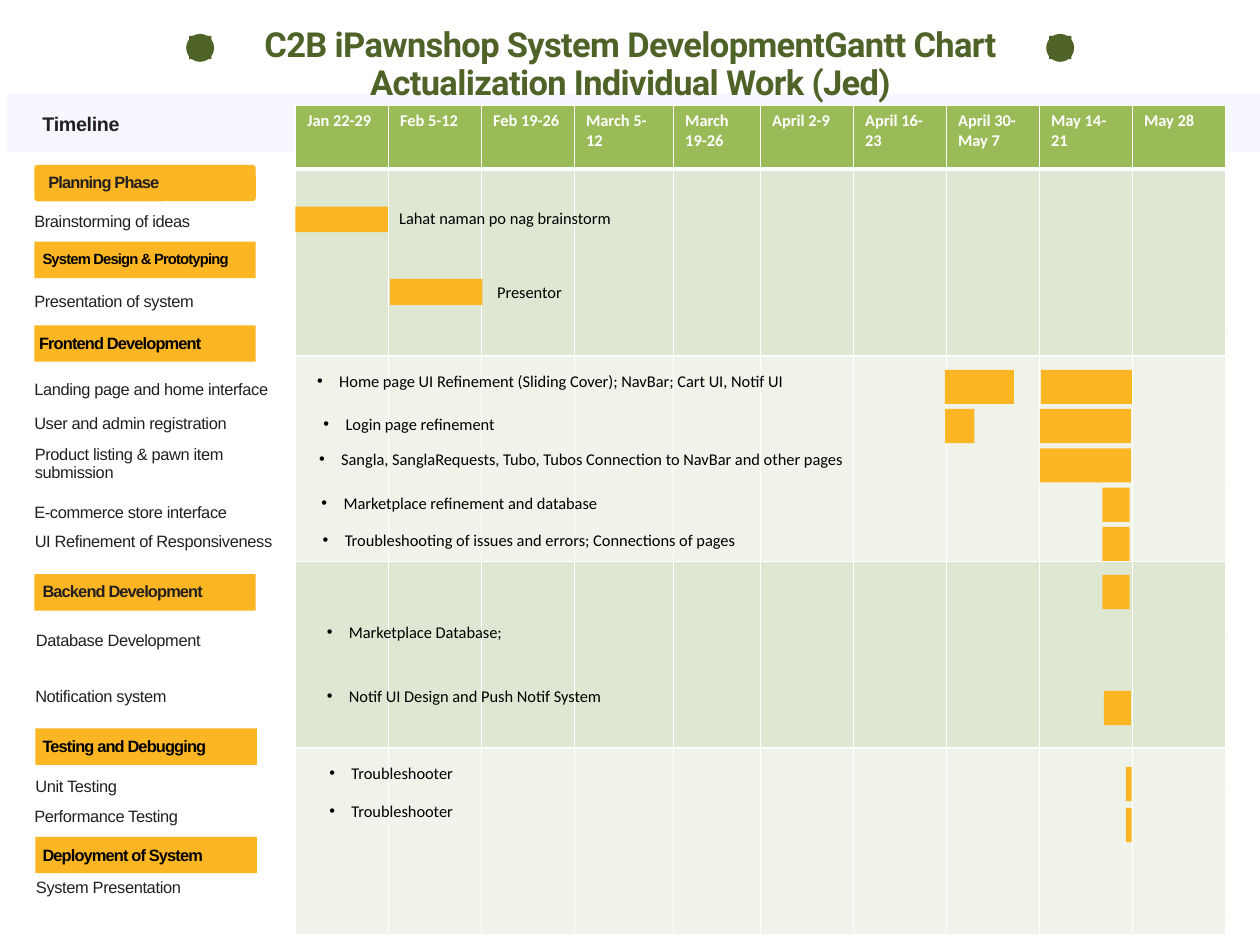
from dataclasses import dataclass
from typing import NamedTuple

from lxml.etree import SubElement
from pptx import Presentation
from pptx.dml.color import RGBColor
from pptx.enum.shapes import MSO_CONNECTOR, MSO_SHAPE
from pptx.enum.text import PP_ALIGN
from pptx.oxml.ns import qn
from pptx.util import Pt


@dataclass(frozen=True)
class Theme:
    band: str = "F7F7FF"
    amber: str = "FCB624"
    olive: str = "4F6228"
    head: str = "9BBB59"
    rows: tuple = ("DEE7D1", "EFF3EA")
    rule: str = "D5D5D5"
    ink: str = "231F20"
    black: str = "000000"
    white: str = "FFFFFF"
    title: float = 21
    lead: float = 12
    body: float = 10
    small: float = 9


T = Theme()


class Style(NamedTuple):
    font: str
    size: float
    color: str
    bold: bool = False
    track: float = 0


class Box(NamedTuple):
    left: float
    top: float
    width: float
    height: float


class Phase(NamedTuple):
    name: str
    left: float
    top: float
    text_left: float
    text_top: float
    color: str = T.black
    size: float = T.body


class Task(NamedTuple):
    name: str
    left: float
    top: float


class Note(NamedTuple):
    text: str
    left: float
    top: float
    dot: bool = True


class Bar(NamedTuple):
    left: float
    top: float
    width: float
    height: float = 20.8


HEADS = ["Jan 22-29", "Feb 5-12", "Feb 19-26", "March 5-12", "March 19-26",
         "April 2-9", "April 16-23", "April 30-May 7", "May 14-21", "May 28"]
COLS = [56.7] * 3 + [60.4, 53] + [56.7] * 5
ROWS = [38.9, 113.8, 125.3, 113.8, 113.8]
RULES = [204.5, 296.6, 388.8, 481.7, 558.7]

PHASES = [
    Phase("Planning Phase", 20.9, 100.5, 29.5, 105.8, T.ink),
    Phase("System Design & Prototyping", 20.9, 147.3, 25.9, 151.9, size=T.small),
    Phase("Frontend Development", 20.9, 198.3, 23.8, 203.8),
    Phase("Backend Development", 20.9, 350, 25.9, 355, T.ink),
    Phase("Testing and Debugging", 21.6, 444, 25.9, 449.3),
    Phase("Deployment of System", 21.6, 510.1, 25.9, 516.2),
]
TASKS = [
    Task("Brainstorming of ideas", 20.9, 129.6),
    Task("Presentation of system", 20.9, 178.6),
    Task("Landing page and home interface", 20.9, 231.8),
    Task("User and admin registration", 20.9, 252.7),
    Task("Product listing & pawn item submission", 21.2, 271.4),
    Task("E-commerce store interface", 20.9, 306.7),
    Task("UI Refinement of Responsiveness", 21.2, 324.7),
    Task("Database Development", 21.9, 384.8),
    Task("Notification system", 21.5, 419),
    Task("Unit Testing", 21.6, 474),
    Task("Performance Testing", 20.9, 492),
    Task("System Presentation", 21.9, 535.3),
]
NOTES = [
    Note("Lahat naman po nag brainstorm", 236.2, 123.1, False),
    Note("Presentor", 295.9, 168.5, False),
    Note("Home page UI Refinement (Sliding Cover); NavBar; Cart UI, Notif UI",
         186.2, 222.7),
    Note("Login page refinement", 190.1, 249.1),
    Note("Sangla, SanglaRequests, Tubo, Tubos Connection to NavBar and other pages",
         187.4, 270.2),
    Note("Marketplace refinement and database", 188.9, 296.9),
    Note("Troubleshooting of issues and errors; Connections of pages",
         189.6, 319.7),
    Note("Marketplace Database;", 192.1, 375.8),
    Note("Notif UI Design and Push Notif System", 192.1, 414.7),
    Note("Troubleshooter", 193.7, 461.5),
    Note("Troubleshooter", 193.7, 484.6),
]
BARS = [
    Bar(180, 126, 56.4, 15.6), Bar(237.6, 170, 56.4, 15.8),
    Bar(576, 225.5, 42), Bar(634.5, 225.5, 55.5),
    Bar(576, 249.3, 18), Bar(633.8, 249.3, 55.5),
    Bar(633.8, 273.3, 55.5), Bar(672, 297.3, 16.5),
    Bar(672, 321.1, 16.5), Bar(672, 350.5, 16.5),
    Bar(672.8, 421.2, 16.5), Bar(686.2, 467.5, 3.6), Bar(686.2, 492.5, 3.6),
]


def rgb(color: str) -> RGBColor:
    return RGBColor.from_string(color)


def add_run(para, text: str, style: Style) -> None:
    run = para.add_run()
    run.text = text
    font = run.font
    font.name, font.size, font.bold = style.font, Pt(style.size), style.bold
    font.color.rgb = rgb(style.color)
    if style.track:
        run._r.get_or_add_rPr().set("spc", str(round(style.track * 100)))


def add_text(slide, box: Box, lines: list[str], style: Style, pitch: float = 0,
             align=PP_ALIGN.LEFT, dot: bool = False) -> None:
    """Place text; a pitch means fixed line height and no insets."""
    frame = slide.shapes.add_textbox(*map(Pt, box)).text_frame
    frame.word_wrap = True
    if pitch:
        frame.margin_left = frame.margin_right = Pt(0)
        frame.margin_top = frame.margin_bottom = Pt(0)
    for i, line in enumerate(lines):
        para = frame.add_paragraph() if i else frame.paragraphs[0]
        para.alignment = align
        if pitch:
            para.line_spacing = Pt(pitch)
        if dot:
            props = para._p.get_or_add_pPr()
            props.set("marL", str(Pt(13.5)))
            props.set("indent", str(Pt(-13.5)))
            SubElement(props, qn("a:buFont"), typeface="Arial")
            SubElement(props, qn("a:buChar"), char="•")
        add_run(para, line, style)


def add_block(slide, box: Box, color: str, kind=MSO_SHAPE.RECTANGLE):
    shape = slide.shapes.add_shape(kind, *map(Pt, box))
    shape.shadow.inherit = False
    shape.fill.solid()
    shape.fill.fore_color.rgb = rgb(color)
    shape.line.fill.background()
    return shape


def add_rule(slide, top: float) -> None:
    line = slide.shapes.add_connector(
        MSO_CONNECTOR.STRAIGHT, Pt(185), Pt(top), Pt(748.1), Pt(top))
    line.line.color.rgb = rgb(T.rule)
    line.line.width = Pt(0.75)
    SubElement(line._element.spPr, qn("a:effectLst"))


def paint_cell(cell, color: str, base: float) -> None:
    """Draw white borders, with the given bottom width, then fill."""
    props = cell._tc.get_or_add_tcPr()
    for side, width in (("L", 1), ("R", 1), ("T", 1), ("B", base)):
        edge = SubElement(props, qn(f"a:ln{side}"), w=str(Pt(width)))
        SubElement(SubElement(edge, qn("a:solidFill")), qn("a:srgbClr"), val=T.white)
    cell.fill.solid()
    cell.fill.fore_color.rgb = rgb(color)


def add_grid(slide) -> None:
    table = slide.shapes.add_table(
        len(ROWS), len(COLS), Pt(180), Pt(64.2), Pt(sum(COLS)), Pt(sum(ROWS))).table
    for col, width in zip(table.columns, COLS):
        col.width = Pt(width)
    for r, height in enumerate(ROWS):
        table.rows[r].height = Pt(height)
        for c, head in enumerate(HEADS):
            cell = table.cell(r, c)
            if r:
                paint_cell(cell, T.rows[(r - 1) % 2], 1)
            else:
                paint_cell(cell, T.head, 3)
                add_run(cell.text_frame.paragraphs[0], head,
                        Style("Calibri", T.body, T.white, True))


def main() -> None:
    deck = Presentation()
    deck.slide_width, deck.slide_height = Pt(768), Pt(576)
    slide = deck.slides.add_slide(deck.slide_layouts[6])

    add_block(slide, Box(4, 56.9, 768, 36), T.band)
    for top in RULES:
        add_rule(slide, top)
    for left in (113.5, 637.7):
        add_block(slide, Box(left, 20.7, 17, 17), T.olive, MSO_SHAPE.OVAL)
        add_block(slide, Box(left + 1.7, 21.8, 13.7, 14.2), T.olive)
    add_text(slide, Box(139.7, 15.8, 488.9, 46.8),
             ["C2B iPawnshop System DevelopmentGantt Chart",
              "Actualization Individual Work (Jed)"],
             Style("Roboto", T.title, T.olive, True, -0.4), 23.3, PP_ALIGN.CENTER)
    add_text(slide, Box(25.9, 69.1, 122.4, 13), ["Timeline"],
             Style("Arial", T.lead, T.ink, True, -0.2), 13.3)
    add_grid(slide)

    for i, item in enumerate(PHASES):
        kind = MSO_SHAPE.RECTANGLE if i else MSO_SHAPE.ROUNDED_RECTANGLE
        pill = add_block(slide, Box(item.left, item.top, 135, 22.2), T.amber, kind)
        if not i:
            pill.adjustments[0] = 0.09
        add_text(slide, Box(item.text_left, item.text_top, 126, 11.5), [item.name],
                 Style("Arial", item.size, item.color, True, -0.5), 11.1)
    for task in TASKS:
        add_text(slide, Box(task.left, task.top, 163.8, 11.5), [task.name],
                 Style("Arial", T.body, T.ink, track=-0.2), 11.1)
    for bar in BARS:
        add_block(slide, Box(*bar), T.amber)
    for note in NOTES:
        add_text(slide, Box(note.left, note.top, 383.8 if note.dot else 159.1, 19.4),
                 [note.text], Style("Calibri", T.body, T.black), dot=note.dot)
    deck.save("out.pptx")


if __name__ == "__main__":
    main()
